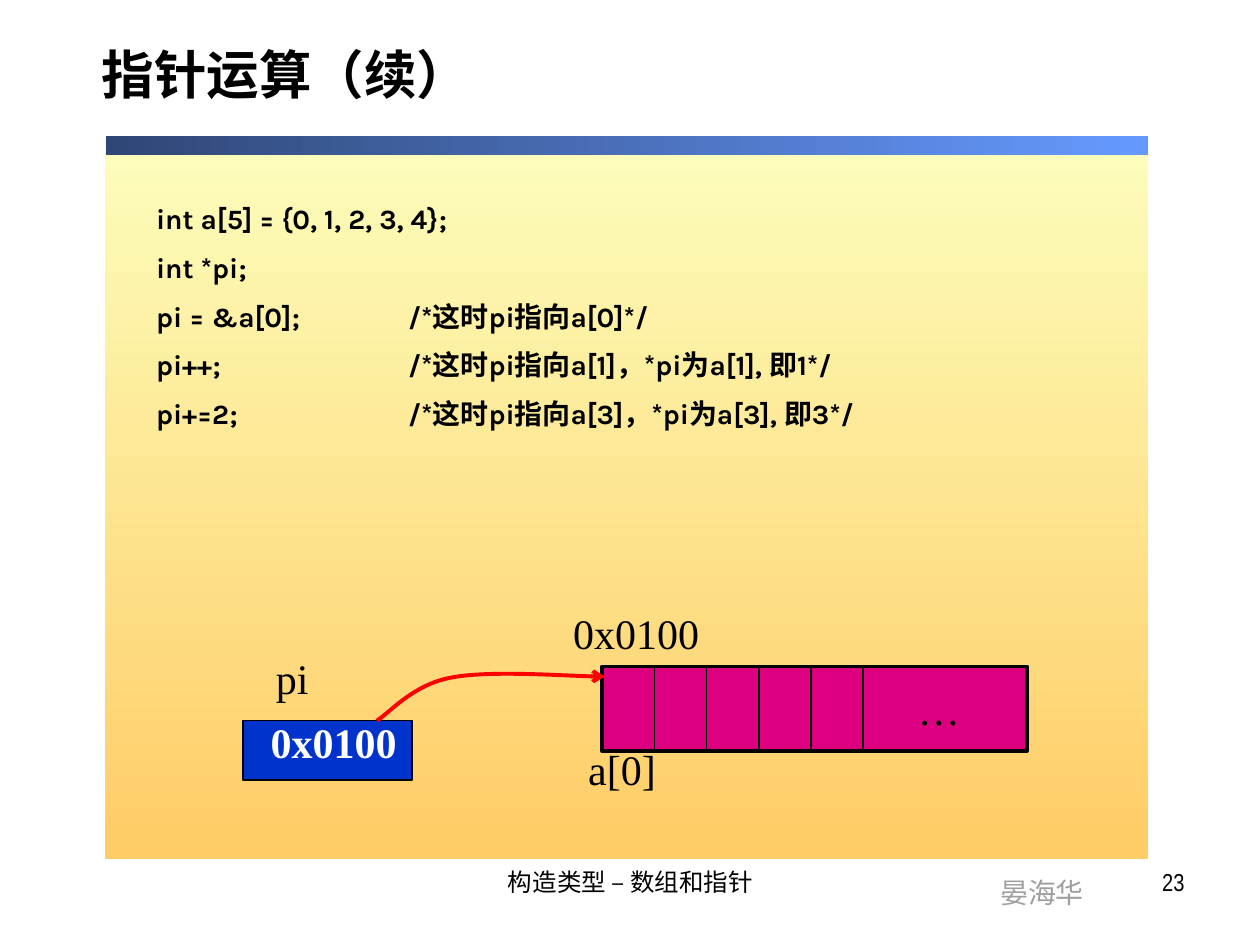
from lxml.etree import SubElement
from pptx import Presentation
from pptx.dml.color import RGBColor
from pptx.enum.shapes import MSO_CONNECTOR, MSO_SHAPE
from pptx.enum.text import MSO_ANCHOR, PP_ALIGN
from pptx.oxml.ns import qn
from pptx.util import Inches, Pt

BLACK = RGBColor(0x00, 0x00, 0x00)
WHITE = RGBColor(0xFF, 0xFF, 0xFF)
GREY = RGBColor(0x9F, 0x9F, 0x9F)
RED = RGBColor(0xFF, 0x00, 0x00)
BLUE = RGBColor(0x00, 0x33, 0xCC)
MAGENTA = RGBColor(0xDC, 0x00, 0x81)
PALE_YELLOW = RGBColor(0xFC, 0xFE, 0xBC)
ORANGE = RGBColor(0xFF, 0xCC, 0x66)
DARK_BLUE = RGBColor(0x2F, 0x47, 0x76)
SKY_BLUE = RGBColor(0x66, 0x99, 0xFF)

SERIF = "Times New Roman"
NARROW = "Arial Narrow"

CODE_LINES = [
    "int a[5] = {0, 1, 2, 3, 4};",
    "int *pi;",
    "pi = &a[0];\t/*这时pi指向a[0]*/",
    "pi++;\t/*这时pi指向a[1]，*pi为a[1], 即1*/",
    "pi+=2;\t/*这时pi指向a[3]，*pi为a[3], 即3*/",
]


def add_run(paragraph, text, size, font, color=BLACK, bold=False):
    run = paragraph.add_run()
    run.text = text
    run.font.size = Pt(size)
    run.font.name = font
    run.font.bold = bold
    run.font.color.rgb = color


def add_label(shapes, box, text, size=24, font=SERIF, color=BLACK, bold=False,
              align=PP_ALIGN.LEFT, wrap=True):
    label = shapes.add_textbox(*map(Inches, box))
    label.text_frame.word_wrap = wrap
    paragraph = label.text_frame.paragraphs[0]
    paragraph.alignment = align
    add_run(paragraph, text, size, font, color, bold)
    return label


def add_box(shapes, box, fill, line_width):
    rect = shapes.add_shape(MSO_SHAPE.RECTANGLE, *map(Inches, box))
    rect.shadow.inherit = False
    rect.fill.solid()
    rect.fill.fore_color.rgb = fill
    rect.line.color.rgb = BLACK
    rect.line.width = Pt(line_width)
    return rect


def add_gradient(shapes, box, colors, angle):
    band = shapes.add_shape(MSO_SHAPE.RECTANGLE, *map(Inches, box))
    band.shadow.inherit = False
    band.line.fill.background()
    band.fill.gradient()
    band.fill.gradient_angle = angle
    for stop, color in zip(band.fill.gradient_stops, colors):
        stop.color.rgb = color


def add_title(shapes, box):
    title = add_label(shapes, box, "指针运算（续）", 30, NARROW, bold=True)
    title.text_frame.vertical_anchor = MSO_ANCHOR.MIDDLE
    title.text_frame.paragraphs[0].line_spacing = 0.8


def add_code(shapes, box):
    frame = shapes.add_textbox(*map(Inches, box)).text_frame
    frame.word_wrap = True
    for index, line in enumerate(CODE_LINES):
        paragraph = frame.add_paragraph() if index else frame.paragraphs[0]
        if index:
            paragraph.space_before = Pt(8.7)
        tabs = SubElement(paragraph._p.get_or_add_pPr(), qn("a:tabLst"))
        SubElement(tabs, qn("a:tab"), pos=str(Inches(2)), algn="l")
        add_run(paragraph, line, 16, "Karla", bold=True)


def add_array(shapes, box):
    left, top, width, height = box
    cell_width = 0.414
    cells = shapes.add_group_shape().shapes
    memory = add_box(cells, box, MAGENTA, 2.25)
    frame = memory.text_frame
    frame.margin_left = Inches(5 * cell_width)
    frame.vertical_anchor = MSO_ANCHOR.MIDDLE
    frame.paragraphs[0].alignment = PP_ALIGN.CENTER
    add_run(frame.paragraphs[0], "…", 24, SERIF)
    for index in range(1, 6):
        x = Inches(left + index * cell_width)
        divider = cells.add_connector(MSO_CONNECTOR.STRAIGHT, x, Inches(top),
                                      x, Inches(top + height))
        divider.line.color.rgb = BLACK
        divider.line.width = Pt(1)
        SubElement(divider._element.spPr, qn("a:effectLst"))
    add_label(cells, (left - 0.21, top + 0.56, 0.74, 0.5), "a[0]", wrap=False)
    add_label(shapes, (left - 0.33, top - 0.52, 1.34, 0.5), "0x0100")


def add_pointer(shapes, box):
    left, top = box[:2]
    add_label(shapes, (left + 0.16, top - 0.59, 0.59, 0.5), "pi")
    add_box(shapes, box, BLUE, 0.75)
    add_label(shapes, (left + 0.12, top - 0.08, 1.38, 0.5), "0x0100",
              color=WHITE, bold=True)


def add_curved_arrow(shapes, start, controls):
    builder = shapes.build_freeform(*map(Inches, start))
    builder.add_line_segments(
        [(Inches(x), Inches(y)) for x, y in controls], close=False)
    arrow = builder.convert_to_shape()
    arrow.shadow.inherit = False
    arrow.fill.background()
    arrow.line.color.rgb = RED
    arrow.line.width = Pt(2.25)
    SubElement(arrow.line._get_or_add_ln(), qn("a:tailEnd"), type="arrow")
    outline = arrow._element.find(".//" + qn("a:path"))
    segments = outline.findall(qn("a:lnTo"))
    for first in range(0, len(segments), 3):
        curve = SubElement(outline, qn("a:cubicBezTo"))
        for segment in segments[first:first + 3]:
            curve.append(segment[0])
            outline.remove(segment)


def add_footer(shapes, top):
    add_label(shapes, (7.84, top + 0.07, 0.87, 0.37), "晏海华", 16, "Arial",
              GREY, wrap=False)
    add_label(shapes, (3.42, top, 3.17, 0.52), "构造类型 – 数组和指针", 14,
              NARROW, align=PP_ALIGN.CENTER)
    add_label(shapes, (7.17, top, 2.33, 0.52), "23", 14, NARROW,
              align=PP_ALIGN.RIGHT)


def main():
    presentation = Presentation()
    presentation.slide_width = Inches(10)
    presentation.slide_height = Inches(7.5)
    shapes = presentation.slides.add_slide(presentation.slide_layouts[6]).shapes

    add_gradient(shapes, (0.83, 1.1, 8.28, 5.72), (PALE_YELLOW, ORANGE), 270)
    add_gradient(shapes, (0.84, 1.08, 8.27, 0.15), (DARK_BLUE, SKY_BLUE), 0)
    add_footer(shapes, 6.83)
    add_array(shapes, (4.78, 5.29, 3.37, 0.67))
    add_pointer(shapes, (1.93, 5.72, 1.34, 0.47))
    add_curved_arrow(shapes, (2.99, 5.72), [
        (3.09, 5.66), (3.27, 5.44), (3.57, 5.38),
        (3.87, 5.32), (4.55, 5.37), (4.8, 5.37)])
    add_code(shapes, (1.14, 1.55, 7.72, 1.97))
    add_title(shapes, (0.71, 0.17, 8.96, 0.92))
    presentation.save("out.pptx")


if __name__ == "__main__":
    main()
